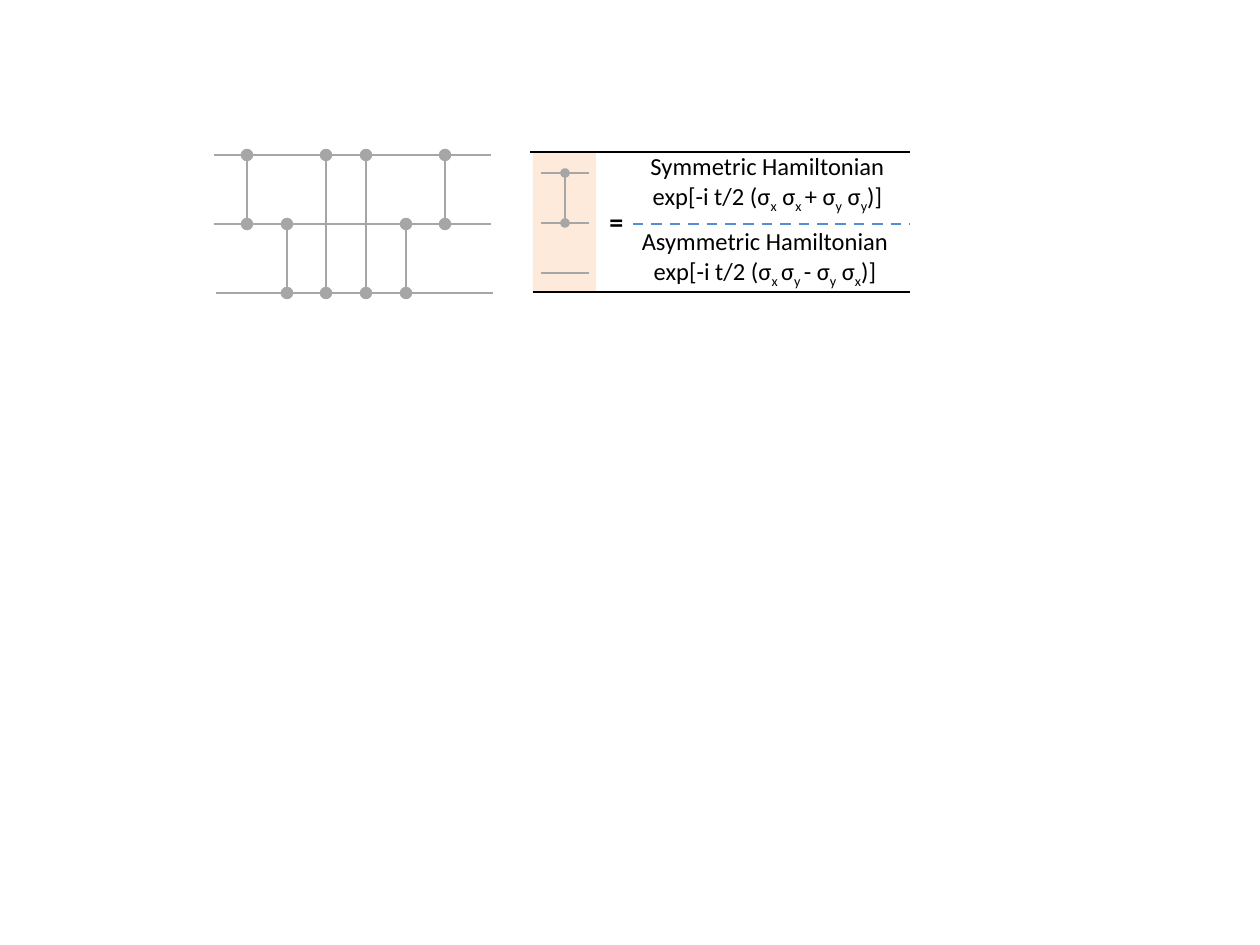
from dataclasses import dataclass

from lxml.etree import SubElement
from pptx import Presentation
from pptx.dml.color import RGBColor as RGB
from pptx.enum.dml import MSO_LINE as Dash
from pptx.enum.shapes import MSO_CONNECTOR as Connector, MSO_SHAPE as Shape
from pptx.enum.text import MSO_AUTO_SIZE as AutoSize, PP_ALIGN as Align
from pptx.oxml.ns import qn
from pptx.util import Pt

PX = 914400 / 126


@dataclass(frozen=True)
class Theme:
    font: str = "Calibri"
    black: RGB = RGB(0, 0, 0)
    wire: RGB = RGB(0xA6, 0xA6, 0xA6)
    panel: RGB = RGB(0xFD, 0xEA, 0xDA)
    divider: RGB = RGB(0x55, 0x8E, 0xD5)
    body: int = 14
    sign: int = 16
    line: float = 1.5
    dot_line: float = 2


THEME = Theme()


def emu(*lengths):
    return [round(length * PX) for length in lengths]


def add_line(shapes, x1, y1, x2, y2, color, dash=None):
    line = shapes.add_connector(Connector.STRAIGHT, *emu(x1, y1, x2, y2))
    line.line.color.rgb = color
    line.line.width = Pt(THEME.line)
    if dash:
        line.line.dash_style = dash
    SubElement(line._element.spPr, qn("a:effectLst"))


def add_gate(shapes, x, top, bottom, size):
    """Vertical link between two wires with a dot at each end."""
    add_line(shapes, x, top, x, bottom, THEME.wire)
    for y in (top, bottom):
        dot = shapes.add_shape(
            Shape.OVAL, *emu(x - size / 2, y - size / 2, size, size))
        dot.shadow.inherit = False
        dot.fill.solid()
        dot.fill.fore_color.rgb = THEME.wire
        dot.line.color.rgb = THEME.wire
        dot.line.width = Pt(THEME.dot_line)


def add_text(shapes, left, top, width, height, lines, size, bold=False):
    """Centred lines; every second part between bars is a subscript."""
    frame = shapes.add_textbox(*emu(left, top, width, height)).text_frame
    frame.word_wrap = True
    frame.auto_size = AutoSize.SHAPE_TO_FIT_TEXT
    for index, line in enumerate(lines):
        paragraph = frame.add_paragraph() if index else frame.paragraphs[0]
        paragraph.alignment = Align.CENTER
        font = paragraph.font
        font.name, font.size, font.bold = THEME.font, Pt(size), bold
        font.color.rgb = THEME.black
        for part, text in enumerate(line.split("|")):
            run = paragraph.add_run()
            run.text = text
            if part % 2:
                run.font._element.set("baseline", "-25000")


def add_circuit(slide, left, top, width, gap):
    shapes = slide.shapes.add_group_shape().shapes
    wires = [top + gap * row for row in range(3)]
    # Wires; the lowest is shifted slightly
    for y, shift in zip(wires, (0, 0, 2)):
        add_line(shapes, left + shift, y, left + width + shift, y, THEME.wire)
    # Gates as pairs of wires, evenly spaced
    pairs = [(0, 1), (1, 2), (0, 2), (0, 2), (1, 2), (0, 1)]
    for column, (upper, lower) in enumerate(pairs):
        x = left + 33 + round(39.7 * column)
        add_gate(shapes, x, wires[upper], wires[lower], 9)


def add_definition(slide, left, top, width, height):
    shapes = slide.shapes.add_group_shape().shapes
    right = left + width
    # Tinted panel and outer rules
    panel = shapes.add_shape(Shape.RECTANGLE, *emu(left + 3, top, 63, height))
    panel.shadow.inherit = False
    panel.fill.solid()
    panel.fill.fore_color.rgb = THEME.panel
    panel.line.fill.background()
    add_line(shapes, left, top, right, top, THEME.black)
    add_line(shapes, left + 3, top + height, right, top + height, THEME.black)
    # Small gate on three wires
    wires = [top + 21 + 50 * row for row in range(3)]
    for y in wires:
        add_line(shapes, left + 11, y, left + 59, y, THEME.wire)
    add_gate(shapes, left + 35, wires[0], wires[1], 6)
    # Formulas, equals sign and divider
    add_text(shapes, left + 85, top - 7, 305, 72,
             ["Symmetric Hamiltonian",
              "exp[-i t/2 (σ|x| σ|x |+ σ|y| σ|y|)]"], THEME.body)
    add_text(shapes, left + 90, top + 68, 290, 72,
             ["Asymmetric Hamiltonian",
              "exp[-i t/2 (σ|x |σ|y |- σ|y| σ|x|)]"], THEME.body)
    add_text(shapes, left + 67, top + 46, 35, 47, ["="], THEME.sign, True)
    add_line(shapes, left + 103, top + 72, right, top + 72,
             THEME.divider, Dash.DASH)


def main():
    presentation = Presentation()
    presentation.slide_width, presentation.slide_height = emu(1260, 945)
    slide = presentation.slides.add_slide(presentation.slide_layouts[6])
    add_circuit(slide, 214, 155, 277, 69)
    add_definition(slide, 530, 152, 380, 140)
    presentation.save("out.pptx")


if __name__ == "__main__":
    main()
